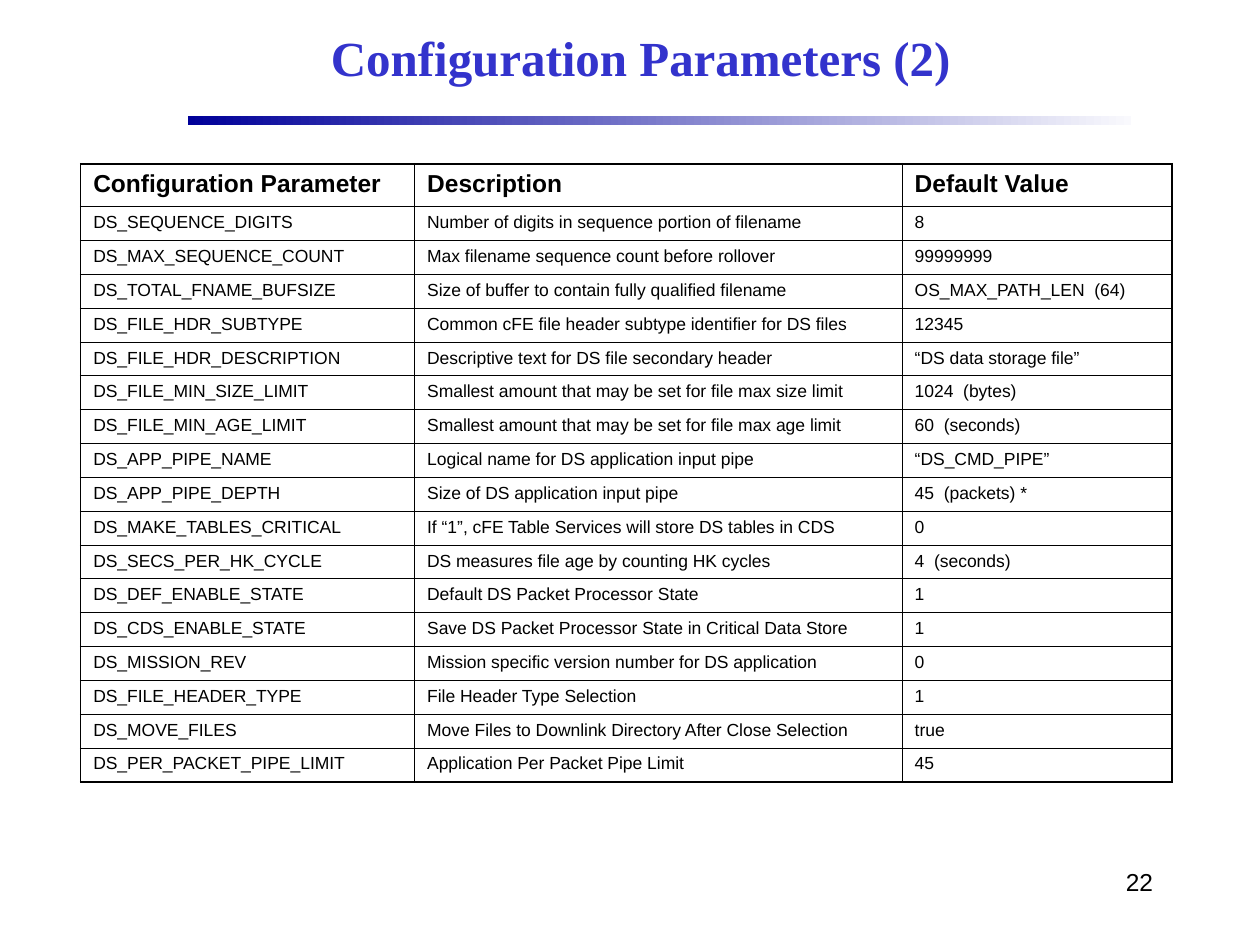
import dataclasses

import lxml.etree
import pptx
import pptx.dml.color
import pptx.enum.shapes
import pptx.enum.text
import pptx.oxml.ns
import pptx.util
from pptx.util import Inches


@dataclasses.dataclass(frozen=True)
class Theme:
    title_color: str = "3333CC"
    text_color: str = "000000"
    rule_start: str = "000099"
    rule_end: str = "F9F9FD"
    title_font: str = "Times New Roman"
    body_font: str = "Arial"
    title_size: int = 28
    heading_size: int = 14
    body_size: int = 10
    outer_border: float = 1.08
    inner_border: float = 0.45


THEME = Theme()


def write_text(text_frame, text, *, size, font=THEME.body_font, color=THEME.text_color,
               bold=False, align=pptx.enum.text.PP_ALIGN.LEFT, space_before=0):
    text_frame.word_wrap = True
    paragraph = text_frame.paragraphs[0]
    paragraph.alignment = align
    paragraph.space_before = pptx.util.Pt(space_before)
    run = paragraph.add_run()
    run.text = text
    run.font.name = font
    run.font.size = pptx.util.Pt(size)
    run.font.bold = bold
    run.font.color.rgb = pptx.dml.color.RGBColor.from_string(color)


def add_border(cell, side, width):
    """Draw one cell edge; side is L, R, T or B."""
    qn = pptx.oxml.ns.qn
    properties = cell._tc.get_or_add_tcPr()
    line = lxml.etree.SubElement(properties, qn(f"a:ln{side}"), w=str(pptx.util.Pt(width)))
    fill = lxml.etree.SubElement(line, qn("a:solidFill"))
    lxml.etree.SubElement(fill, qn("a:srgbClr"), val=THEME.text_color)


presentation = pptx.Presentation()
presentation.slide_width = Inches(10)
presentation.slide_height = Inches(7.5)
slide = presentation.slides.add_slide(presentation.slide_layouts[6])

# Gradient rule under the title
rule = slide.shapes.add_shape(pptx.enum.shapes.MSO_SHAPE.RECTANGLE,
                              Inches(1.49), Inches(0.92), Inches(7.49), Inches(0.07))
rule.shadow.inherit = False
rule.line.fill.background()
rule.fill.gradient()
rule.fill.gradient_angle = 0
for stop, color in zip(rule.fill.gradient_stops, (THEME.rule_start, THEME.rule_end)):
    stop.color.rgb = pptx.dml.color.RGBColor.from_string(color)

# Page number and title
page_number = slide.shapes.add_textbox(Inches(7.17), Inches(6.83), Inches(2.08), Inches(0.5))
write_text(page_number.text_frame, "22", size=THEME.heading_size,
           align=pptx.enum.text.PP_ALIGN.RIGHT)

title = slide.shapes.add_textbox(Inches(1.5), Inches(0.08), Inches(7.17), Inches(0.75))
title.text_frame.vertical_anchor = pptx.enum.text.MSO_ANCHOR.MIDDLE
write_text(title.text_frame, "Configuration Parameters (2)", size=THEME.title_size,
           font=THEME.title_font, color=THEME.title_color, bold=True,
           align=pptx.enum.text.PP_ALIGN.CENTER)

# Parameter table
rows = [
    ("Configuration Parameter", "Description", "Default Value"),
    ("DS_SEQUENCE_DIGITS", "Number of digits in sequence portion of filename", "8"),
    ("DS_MAX_SEQUENCE_COUNT", "Max filename sequence count before rollover", "99999999"),
    ("DS_TOTAL_FNAME_BUFSIZE", "Size of buffer to contain fully qualified filename",
     "OS_MAX_PATH_LEN  (64)"),
    ("DS_FILE_HDR_SUBTYPE", "Common cFE file header subtype identifier for DS files", "12345"),
    ("DS_FILE_HDR_DESCRIPTION", "Descriptive text for DS file secondary header",
     "“DS data storage file”"),
    ("DS_FILE_MIN_SIZE_LIMIT", "Smallest amount that may be set for file max size limit",
     "1024  (bytes)"),
    ("DS_FILE_MIN_AGE_LIMIT", "Smallest amount that may be set for file max age limit",
     "60  (seconds)"),
    ("DS_APP_PIPE_NAME", "Logical name for DS application input pipe", "“DS_CMD_PIPE”"),
    ("DS_APP_PIPE_DEPTH", "Size of DS application input pipe", "45  (packets) *"),
    ("DS_MAKE_TABLES_CRITICAL", "If “1”, cFE Table Services will store DS tables in CDS", "0"),
    ("DS_SECS_PER_HK_CYCLE", "DS measures file age by counting HK cycles", "4  (seconds)"),
    ("DS_DEF_ENABLE_STATE", "Default DS Packet Processor State", "1"),
    ("DS_CDS_ENABLE_STATE", "Save DS Packet Processor State in Critical Data Store", "1"),
    ("DS_MISSION_REV", "Mission specific version number for DS application", "0"),
    ("DS_FILE_HEADER_TYPE", "File Header Type Selection", "1"),
    ("DS_MOVE_FILES", "Move Files to Downlink Directory After Close Selection", "true"),
    ("DS_PER_PACKET_PIPE_LIMIT", "Application Per Packet Pipe Limit", "45"),
]
column_widths = (2.65, 3.87, 2.14)
table_height, header_height = 4.91, 0.34
row_height = (table_height - header_height) / (len(rows) - 1)
last_row, last_column = len(rows) - 1, len(column_widths) - 1

table = slide.shapes.add_table(len(rows), len(column_widths), Inches(0.64), Inches(1.3),
                               Inches(sum(column_widths)), Inches(table_height)).table
table.first_row = False
table.horz_banding = False
for column, width in zip(table.columns, column_widths):
    column.width = Inches(width)

for row_index, texts in enumerate(rows):
    is_header = row_index == 0
    table.rows[row_index].height = Inches(header_height if is_header else row_height)
    for column_index, text in enumerate(texts):
        cell = table.cell(row_index, column_index)
        write_text(cell.text_frame, text, bold=is_header,
                   size=THEME.heading_size if is_header else THEME.body_size,
                   space_before=6.1 if is_header else 4.4)
        outer_sides = {"L": column_index == 0, "R": column_index == last_column,
                       "T": is_header, "B": row_index == last_row}
        for side, is_outer in outer_sides.items():
            add_border(cell, side, THEME.outer_border if is_outer else THEME.inner_border)
        cell.fill.background()

presentation.save("out.pptx")
